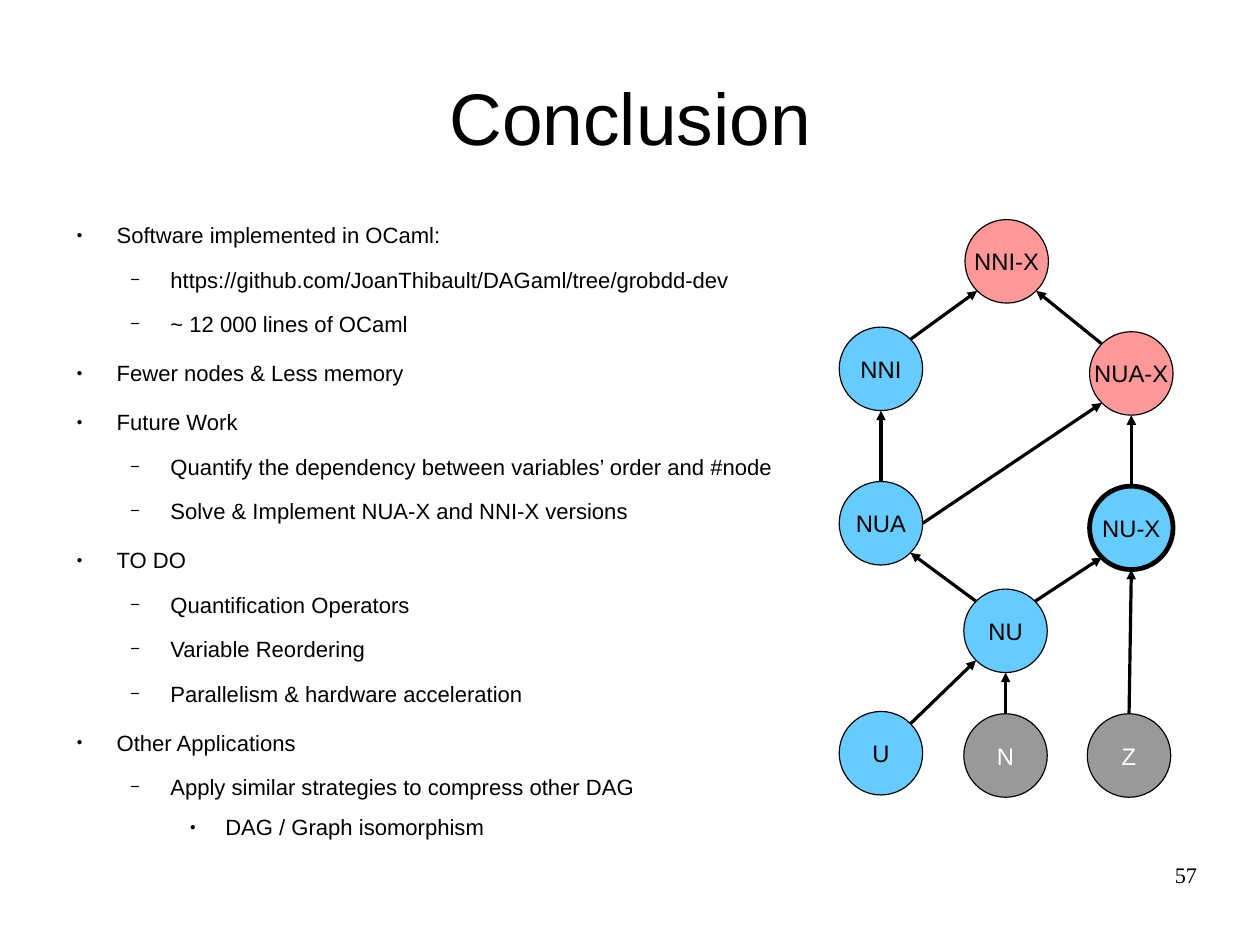
from dataclasses import dataclass
from math import sqrt

from lxml import etree
from pptx import Presentation
from pptx.dml.color import RGBColor
from pptx.enum.shapes import MSO_CONNECTOR, MSO_SHAPE
from pptx.enum.text import MSO_ANCHOR, MSO_AUTO_SIZE, PP_ALIGN
from pptx.oxml.ns import qn
from pptx.util import Inches, Pt

OVAL = MSO_SHAPE.OVAL
STRAIGHT = MSO_CONNECTOR.STRAIGHT
MIDDLE = MSO_ANCHOR.MIDDLE
NO_FIT = MSO_AUTO_SIZE.NONE
CENTER, RIGHT = PP_ALIGN.CENTER, PP_ALIGN.RIGHT

BLACK, WHITE = "000000", "FFFFFF"
BLUE, RED, GRAY = "66CCFF", "FF9999", "999999"
DIAMETER = 0.73
DIAGONAL = 1 / sqrt(2)

# Unit direction from a circle's centre to a point on its edge
EDGE = {
    "top": (0, -1), "bottom": (0, 1), "right": (1, 0),
    "top left": (-DIAGONAL, -DIAGONAL), "top right": (DIAGONAL, -DIAGONAL),
    "bottom left": (-DIAGONAL, DIAGONAL), "bottom right": (DIAGONAL, DIAGONAL),
}


@dataclass
class Node:
    label: str
    left: float
    top: float
    fill: str
    ink: str = BLACK
    border: float = 0

    def edge_point(self, side: str) -> tuple[float, float]:
        across, down = EDGE[side]
        radius = DIAMETER / 2
        return self.left + radius * (1 + across), self.top + radius * (1 + down)


@dataclass
class Arrow:
    source: str
    source_side: str
    target: str
    target_side: str


@dataclass
class ListLevel:
    margin: float
    indent: float
    space_before: float
    bullet: str
    bullet_percent: int


NODES = [
    Node("NNI-X", 8.44, 1.92, RED),
    Node("NNI", 7.34, 2.86, BLUE),
    Node("NUA-X", 9.53, 2.9, RED),
    Node("NUA", 7.34, 4.21, BLUE),
    Node("NU-X", 9.53, 4.25, BLUE, border=3),
    Node("NU", 8.43, 5.15, BLUE),
    Node("U", 7.34, 6.22, BLUE),
    Node("N", 8.43, 6.24, GRAY, WHITE),
    Node("Z", 9.51, 6.24, GRAY, WHITE),
]
ARROWS = [
    Arrow("N", "top", "NU", "bottom"),
    Arrow("U", "top right", "NU", "bottom left"),
    Arrow("Z", "top", "NU-X", "bottom"),
    Arrow("NU", "top left", "NUA", "bottom right"),
    Arrow("NU", "top right", "NU-X", "bottom left"),
    Arrow("NUA", "top", "NNI", "bottom"),
    Arrow("NUA", "right", "NUA-X", "bottom left"),
    Arrow("NU-X", "top", "NUA-X", "bottom"),
    Arrow("NNI", "top right", "NNI-X", "bottom left"),
    Arrow("NUA-X", "top left", "NNI-X", "bottom right"),
]
LEVELS = [
    ListLevel(0.47, -0.35, 14.2, "●", 45),
    ListLevel(0.94, -0.35, 11.3, "−", 75),
    ListLevel(1.42, -0.31, 8.5, "●", 45),
]
POINTS = [
    (0, "Software implemented in OCaml:"),
    (1, "https://github.com/JoanThibault/DAGaml/tree/grobdd-dev"),
    (1, "~ 12 000 lines of OCaml"),
    (0, "Fewer nodes & Less memory"),
    (0, "Future Work"),
    (1, "Quantify the dependency between variables’ order and #node"),
    (1, "Solve & Implement NUA-X and NNI-X versions"),
    (0, "TO DO"),
    (1, "Quantification Operators"),
    (1, "Variable Reordering"),
    (1, "Parallelism & hardware acceleration"),
    (0, "Other Applications"),
    (1, "Apply similar strategies to compress other DAG"),
    (2, "DAG / Graph isomorphism"),
]


def color(value: str) -> RGBColor:
    return RGBColor.from_string(value)


def add_span(para, text: str, size: float, ink: str = BLACK, font: str = "Arial") -> None:
    span = para.add_run()
    span.text = text
    span.font.name = font
    span.font.size = Pt(size)
    span.font.color.rgb = color(ink)


def place(box, left: float, top: float, width: float, height: float) -> None:
    """Set the position of a text box and clear its insets."""
    box.left, box.top = Inches(left), Inches(top)
    box.width, box.height = Inches(width), Inches(height)
    frame = box.text_frame
    frame.margin_left = frame.margin_right = frame.margin_top = frame.margin_bottom = 0
    frame.word_wrap = True
    frame.auto_size = NO_FIT


def set_bullet(para, level: ListLevel) -> None:
    properties = para._p.get_or_add_pPr()
    properties.set("marL", str(Inches(level.margin)))
    properties.set("indent", str(Inches(level.indent)))
    tint = etree.SubElement(properties, qn("a:buClr"))
    etree.SubElement(tint, qn("a:srgbClr"), val=BLACK)
    etree.SubElement(properties, qn("a:buSzPct"), val=str(level.bullet_percent * 1000))
    etree.SubElement(properties, qn("a:buFont"), typeface="Arial")
    etree.SubElement(properties, qn("a:buChar"), char=level.bullet)


def fill_list(frame) -> None:
    for index, (depth, text) in enumerate(POINTS):
        para = frame.add_paragraph() if index else frame.paragraphs[0]
        level = LEVELS[depth]
        para.level = depth
        set_bullet(para, level)
        para.space_before = Pt(level.space_before if index else 0)
        add_span(para, text, 13.9)


def draw_node(page, node: Node) -> None:
    circle = page.shapes.add_shape(
        OVAL, Inches(node.left), Inches(node.top), Inches(DIAMETER), Inches(DIAMETER))
    circle.shadow.inherit = False
    circle.fill.solid()
    circle.fill.fore_color.rgb = color(node.fill)
    circle.line.color.rgb = color(BLACK)
    circle.line.width = Pt(node.border)
    frame = circle.text_frame
    frame.word_wrap = False
    frame.vertical_anchor = MIDDLE
    para = frame.paragraphs[0]
    para.alignment = CENTER
    add_span(para, node.label, 15, node.ink)


def draw_arrow(page, arrow: Arrow, nodes: dict[str, Node]) -> None:
    start = nodes[arrow.source].edge_point(arrow.source_side)
    end = nodes[arrow.target].edge_point(arrow.target_side)
    line = page.shapes.add_connector(STRAIGHT, *(Inches(value) for value in start + end))
    line.line.color.rgb = color(BLACK)
    line.line.width = Pt(0)
    etree.SubElement(line.line._get_or_add_ln(), qn("a:tailEnd"), type="triangle")
    etree.SubElement(line._element.spPr, qn("a:effectLst"))


def main() -> None:
    deck = Presentation()
    deck.slide_width, deck.slide_height = Inches(11.02), Inches(8.27)
    page = deck.slides.add_slide(deck.slide_layouts[1])

    # Title
    title = page.shapes.title
    place(title, 0.55, 0.33, 9.92, 1.38)
    title.text_frame.vertical_anchor = MIDDLE
    heading = title.text_frame.paragraphs[0]
    heading.alignment = CENTER
    add_span(heading, "Conclusion", 46)

    # Bulleted list
    body = page.placeholders[1]
    place(body, 0.55, 1.94, 9.92, 4.8)
    fill_list(body.text_frame)

    # Diagram
    for node in NODES:
        draw_node(page, node)
    nodes = {node.label: node for node in NODES}
    for arrow in ARROWS:
        draw_arrow(page, arrow, nodes)

    # Page number
    number = page.shapes.add_textbox(0, 0, 0, 0)
    place(number, 7.9, 7.53, 2.57, 0.57)
    para = number.text_frame.paragraphs[0]
    para.alignment = RIGHT
    add_span(para, "57", 14, font="Times New Roman")

    deck.save("out.pptx")


if __name__ == "__main__":
    main()
